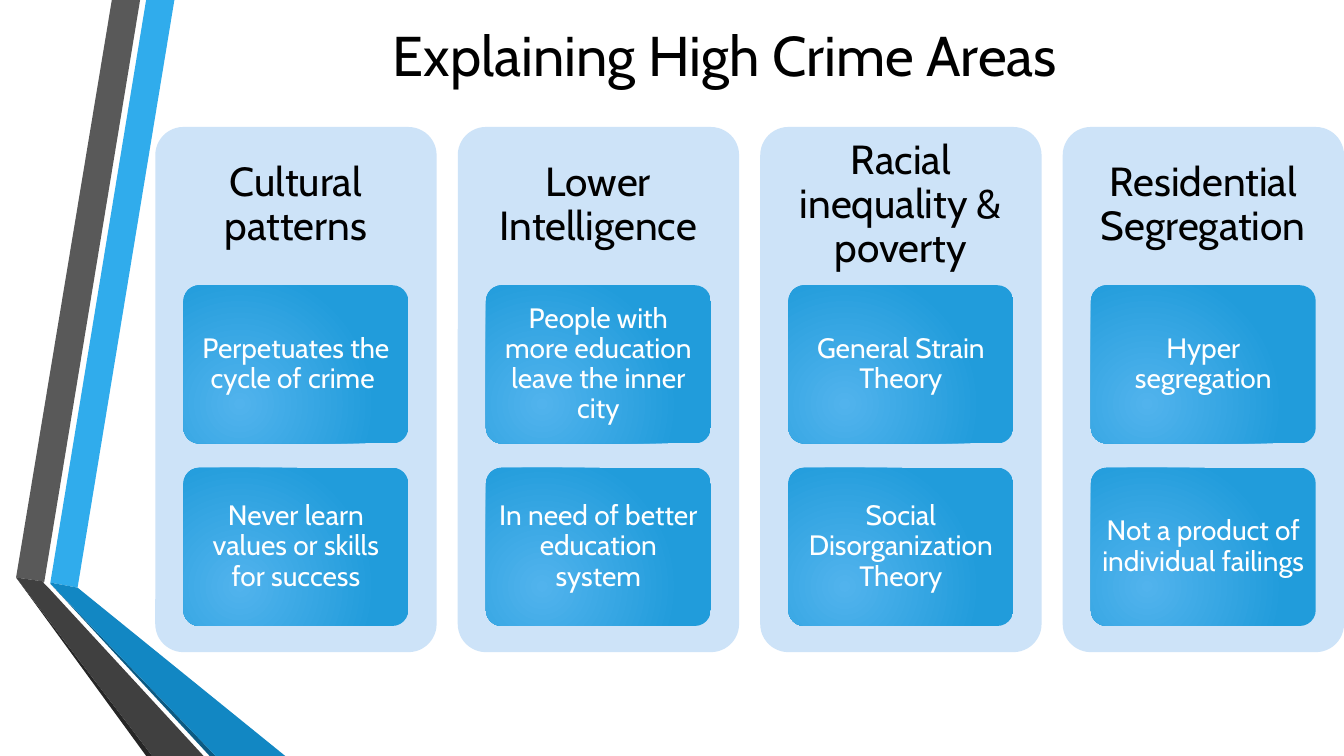
from lxml import etree
from pptx import Presentation
from pptx.dml.color import RGBColor
from pptx.enum import shapes, text
from pptx.oxml import ns
from pptx.util import Inches, Pt

COLORS = {
    "black": "000000", "white": "FFFFFF", "panel": "CDE3F8",
    "card_glow": "51B3ED", "card_edge": "219CDB",
    "blue": "30ACEC", "blue_fold": "1287C3", "blue_shade": "0C5A82",
    "gray": "595959", "gray_fold": "404040", "gray_shade": "262626",
}

RIBBONS = [
    ("blue", [(0.5, 5.78), (0.77, 5.83), (1.73, 0), (1.45, 0)]),
    ("gray", [(1.39, 0), (1.11, 0), (0.16, 5.73), (0.44, 5.77)]),
    ("gray_shade", [(0.16, 5.73), (1.45, 7.5), (1.51, 7.5)]),
    ("blue_shade", [(0.5, 5.79), (2.08, 7.5), (2.14, 7.5)]),
    ("blue_fold", [(0.5, 5.79), (2.14, 7.5), (2.83, 7.5), (0.77, 5.83), (0.5, 5.78)]),
    ("gray_fold", [(2.02, 7.5), (0.48, 5.83), (0.43, 5.78), (0.44, 5.77),
                   (0.16, 5.73), (1.51, 7.5)]),
]

COLUMNS = [
    ("Cultural patterns",
     ["Perpetuates the cycle of crime ", "Never learn values or skills for success"]),
    ("Lower Intelligence",
     ["People with more education leave the inner city",
      "In need of better education system"]),
    ("Racial inequality & poverty",
     ["General Strain Theory", "Social Disorganization Theory"]),
    ("Residential Segregation",
     ["Hyper segregation", "Not a product of individual failings"]),
]


def write(box, wording, size, color, inset_x, inset_y, spacing):
    frame = box.text_frame
    frame.word_wrap = True
    frame.auto_size = text.MSO_AUTO_SIZE.NONE
    frame.vertical_anchor = text.MSO_ANCHOR.MIDDLE
    frame.margin_left = frame.margin_right = Inches(inset_x)
    frame.margin_top = frame.margin_bottom = Inches(inset_y)
    para = frame.paragraphs[0]
    para.alignment = text.PP_ALIGN.CENTER
    para.line_spacing = spacing
    span = para.add_run()
    span.text = wording
    span.font.name = "Cabin"
    span.font.size = Pt(size)
    span.font.color.rgb = RGBColor.from_string(COLORS[color])


def add_rounded(page, left, top, width, height):
    shape = page.shapes.add_shape(
        shapes.MSO_SHAPE.ROUNDED_RECTANGLE,
        Inches(left), Inches(top), Inches(width), Inches(height))
    shape.adjustments[0] = 0.1
    shape.shadow.inherit = False
    shape.line.fill.background()
    return shape


deck = Presentation()
deck.slide_width = Inches(13.33)
deck.slide_height = Inches(7.5)
page = deck.slides.add_slide(deck.slide_layouts[5])

for color, points in RIBBONS:
    corners = [(Inches(x), Inches(y)) for x, y in points]
    outline = page.shapes.build_freeform(*corners[0])
    outline.add_line_segments(corners[1:], close=True)
    ribbon = outline.convert_to_shape()
    ribbon.shadow.inherit = False
    ribbon.fill.solid()
    ribbon.fill.fore_color.rgb = RGBColor.from_string(COLORS[color])
    ribbon.line.fill.background()

title = page.shapes.title
title.left, title.top = Inches(1.71), Inches(0)
title.width, title.height = Inches(10.96), Inches(1.07)
write(title, "Explaining High Crime Areas", 40, "black", 0.1, 0.05, 1.0)

for column, (heading, reasons) in enumerate(COLUMNS):
    left = 1.54 + 3 * column
    panel = add_rounded(page, left, 1.26, 2.79, 5.21)
    panel.fill.solid()
    panel.fill.fore_color.rgb = RGBColor.from_string(COLORS["panel"])

    header = page.shapes.add_textbox(
        Inches(left), Inches(1.26), Inches(2.79), Inches(1.56))
    write(header, heading, 29, "black", 0.12, 0.12, 0.9)

    for row, reason in enumerate(reasons):
        card = add_rounded(page, left + 0.28, 2.83 + 1.81 * row, 2.23, 1.57)
        card.fill.gradient()
        for stop, color in zip(card.fill.gradient_stops, ["card_glow", "card_edge"]):
            stop.color.rgb = RGBColor.from_string(COLORS[color])
        gradient = card._element.spPr.find(ns.qn("a:gradFill"))
        gradient.remove(gradient.find(ns.qn("a:lin")))
        radial = etree.SubElement(gradient, ns.qn("a:path"), {"path": "circle"})
        etree.SubElement(radial, ns.qn("a:fillToRect"),
                         {"l": "50000", "t": "100000", "r": "100000", "b": "50000"})
        write(card, reason, 20, "white", 0.06, 0.04, 0.9)

deck.save("out.pptx")
